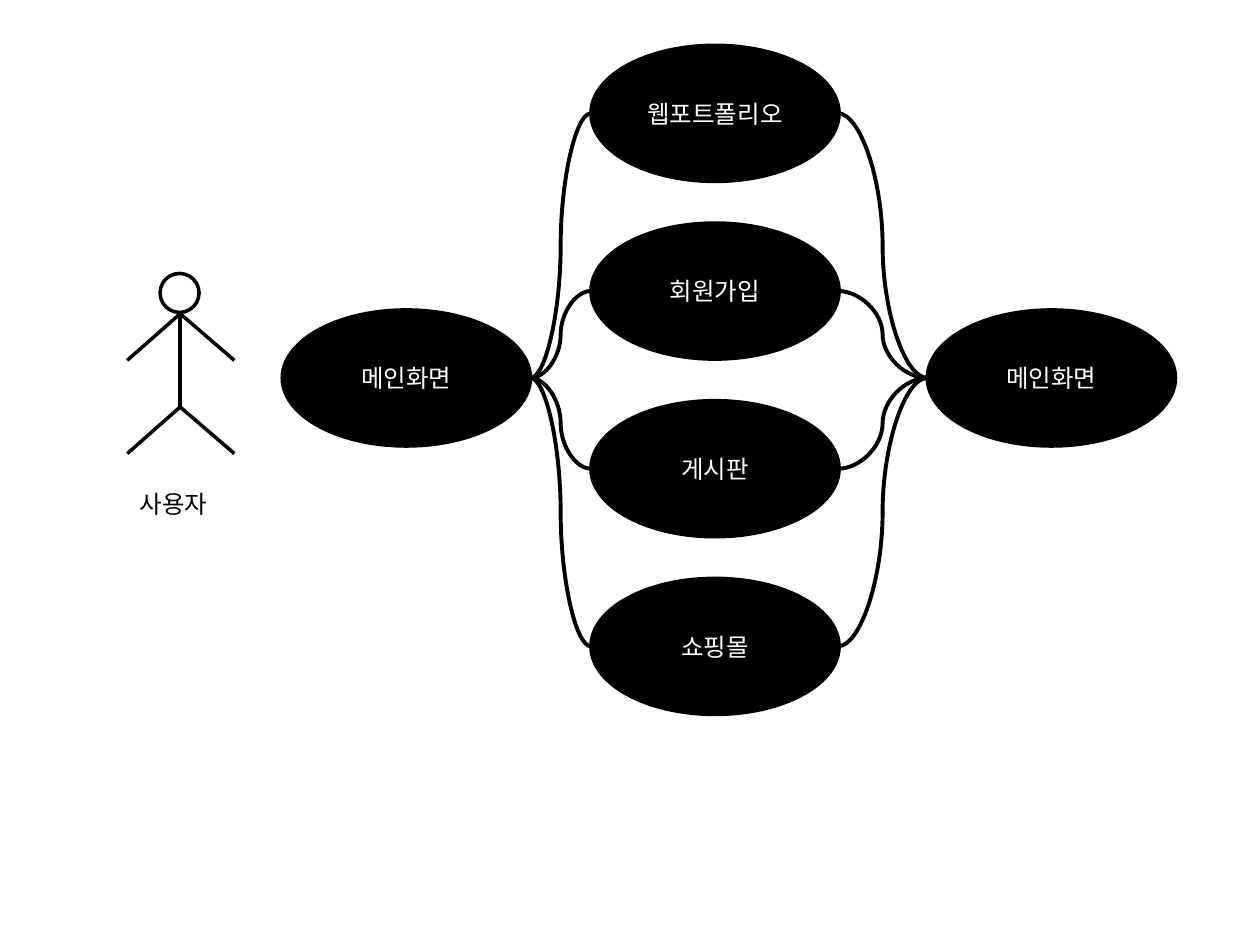
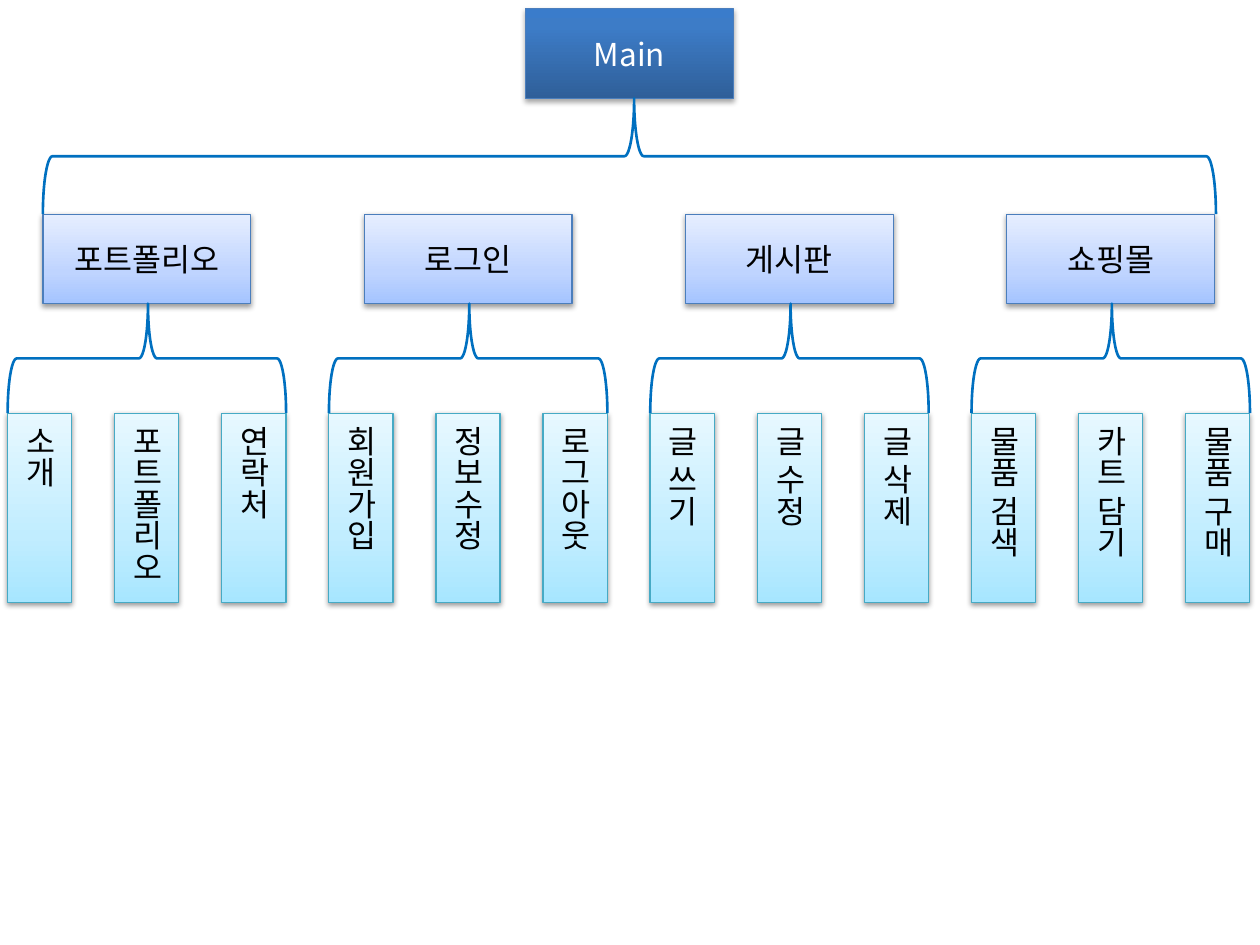
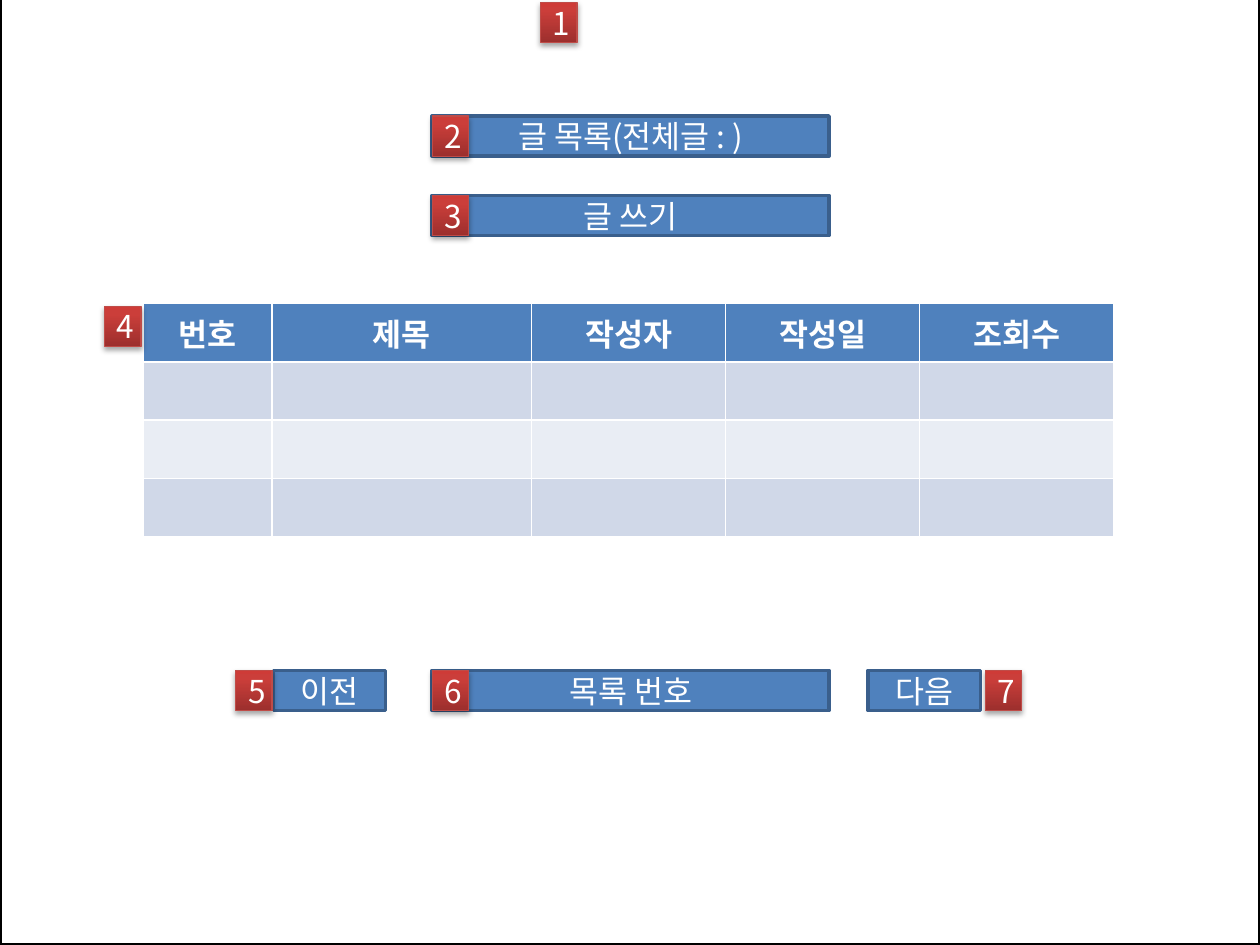
from lxml.etree import SubElement
from pptx import Presentation
from pptx.dml.color import RGBColor
from pptx.enum.shapes import MSO_CONNECTOR, MSO_SHAPE
from pptx.enum.text import MSO_ANCHOR, PP_ALIGN
from pptx.oxml.ns import qn
from pptx.util import Inches, Pt

FONT = "Noto Sans CJK KR"
rgb = RGBColor.from_string

# Shared looks: gradients run from bottom to top, shadow is (opacity %, distance pt)
USE_CASE = dict(fill="000000", line="000000", width=2, size=14, color="FFFFFF")
HEAD = dict(fill="FFFFFF", line="000000", width=2)
CAPTION = dict(size=14, color="000000", align=PP_ALIGN.LEFT, anchor=MSO_ANCHOR.TOP)
ROOT = dict(fill=[(0, "2F5F99"), (80, "3D7CC7"), (100, "3A7CCB")], line="4B7EBC",
            width=0.75, shadow=(35, 1.8), color="FFFFFF")
BRANCH = dict(fill=[(0, "A4C4FF"), (35, "BFD4FF"), (100, "E6EEFF")], line="4B7EBC",
              width=0.75, shadow=(38, 1.6), color="000000")
LEAF = dict(fill=[(0, "A7E6FF"), (35, "C1EDFF"), (100, "E7F8FF")], line="46AAC5",
            width=0.75, shadow=(38, 1.6), color="000000", vertical=True)
BRACE = dict(line="0070C0", width=1.5)
BADGE = dict(fill=[(0, "9C2F2D"), (80, "CB3E3A"), (100, "CE3B37")], line="BF4C48",
             width=0.75, shadow=(35, 1.8), color="FFFFFF")
BAR = dict(fill="4F81BD", line="3A5F8C", width=2, color="FFFFFF")


def write(frame, text, look):
    paragraph = frame.paragraphs[0]
    paragraph.alignment = look.get("align", PP_ALIGN.CENTER)
    run = paragraph.add_run()
    run.text = text
    run.font.color.rgb = rgb(look["color"])
    for name, value in dict(size=Pt(look.get("size", 18)), name=FONT,
                            bold=look.get("bold")).items():
        setattr(run.font, name, value)
    SubElement(run.font._element, qn("a:ea"), typeface=FONT)


def add_box(shapes, kind, at, look, text=""):
    shape = shapes.add_shape(kind, *map(Inches, at))
    shape.shadow.inherit = False
    properties = shape._element.spPr
    fill = look.get("fill")
    if fill is None:
        shape.fill.background()
    elif isinstance(fill, str):
        shape.fill.solid()
        shape.fill.fore_color.rgb = rgb(fill)
    else:
        shape.fill.gradient()
        shape.fill.gradient_angle = 90
        stops = properties.find(".//" + qn("a:gsLst"))
        for stop in list(stops):
            stops.remove(stop)
        for position, color in fill:
            stop = SubElement(stops, qn("a:gs"), pos=str(position * 1000))
            SubElement(stop, qn("a:srgbClr"), val=color)
    shape.line.color.rgb = rgb(look["line"])
    shape.line.width = Pt(look["width"])
    if "shadow" in look:
        opacity, distance = look["shadow"]
        shadow = SubElement(properties.find(qn("a:effectLst")), qn("a:outerShdw"),
                            blurRad=str(Pt(3.1)), dist=str(Pt(distance)),
                            dir="5400000", rotWithShape="0")
        black = SubElement(shadow, qn("a:srgbClr"), val="000000")
        SubElement(black, qn("a:alpha"), val=str(opacity * 1000))
    if text:
        shape.text_frame.vertical_anchor = MSO_ANCHOR.MIDDLE
        shape.text_frame.word_wrap = True
        if look.get("vertical"):
            shape.text_frame._txBody.bodyPr.set("vert", "eaVert")
        write(shape.text_frame, text, look)
    return shape


deck = Presentation()
deck.slide_width, deck.slide_height = Inches(10), Inches(7.5)
blank = deck.slide_layouts[6]

# Slide 1: use cases
use_cases = deck.slides.add_slide(blank).shapes

# User figure
user = use_cases.add_group_shape().shapes
add_box(user, MSO_SHAPE.OVAL, (1.27, 2.17, 0.31, 0.31), HEAD)
neck, hip = (1.43, 2.49), (1.43, 3.23)
strokes = [(user, MSO_CONNECTOR.STRAIGHT, neck, hip, 2)]
for joint in (neck, hip):
    for end_x in (1.01, 1.86):
        strokes.append((user, MSO_CONNECTOR.STRAIGHT, joint, (end_x, joint[1] + 0.37), 2))
caption = user.add_textbox(*map(Inches, (1.01, 3.83, 1.03, 0.34))).text_frame
caption.word_wrap = True
write(caption, "사용자", CAPTION)

# Screens, with curves from both main screens to every option
oval_w, oval_h, main_y = 1.97, 1.08, 3
for main_x in (2.24, 7.36):
    add_box(use_cases, MSO_SHAPE.OVAL, (main_x, main_y - oval_h / 2, oval_w, oval_h),
            USE_CASE, "메인화면")
for row, option in enumerate(["웹포트폴리오", "회원가입", "게시판", "쇼핑몰"]):
    top = 0.36 + 1.41 * row
    add_box(use_cases, MSO_SHAPE.OVAL, (4.69, top, oval_w, oval_h), USE_CASE, option)
    for main_x, option_x in ((4.21, 4.69), (7.36, 6.65)):
        strokes.append((use_cases, MSO_CONNECTOR.CURVE, (main_x, main_y),
                        (option_x, top + oval_h / 2), 2.25))

for shapes, kind, start, end, width in strokes:
    stroke = shapes.add_connector(kind, *map(Inches, start + end))
    stroke.line.color.rgb = rgb("000000")
    stroke.line.width = Pt(width)
    SubElement(stroke._element.spPr, qn("a:effectLst"))

# Slide 2: site map
site_map = deck.slides.add_slide(blank).shapes
menu = {
    "포트폴리오": ["소개", "포트폴리오", "연락처"],
    "로그인": ["회원가입", "정보수정", "로그아웃"],
    "게시판": ["글 쓰기", "글 수정", "글 삭제"],
    "쇼핑몰": ["물품 검색", "카트 담기", "물품 구매"],
}
leaf_step = 0.85
branch_step = 3 * leaf_step
add_box(site_map, MSO_SHAPE.RECTANGLE, (4.17, 0.07, 1.65, 0.71), ROOT, "Main")
braces = [(0.34, 9.65, 0.78, 1.7)]
for column, (branch, leaves) in enumerate(menu.items()):
    shift = column * branch_step
    add_box(site_map, MSO_SHAPE.RECTANGLE, (0.34 + shift, 1.7, 1.65, 0.71), BRANCH, branch)
    for place, leaf in enumerate(leaves):
        add_box(site_map, MSO_SHAPE.RECTANGLE,
                (0.06 + shift + place * leaf_step, 3.28, 0.51, 1.5), LEAF, leaf)
    braces.append((0.06 + shift, 2.27 + shift, 2.41, 3.28))

# Braces are turned upright ones, so width and height swap around the centre
for left, right, top, bottom in braces:
    span, depth = right - left, bottom - top
    brace = add_box(site_map, MSO_SHAPE.LEFT_BRACE,
                    ((left + right - depth) / 2, (top + bottom - span) / 2, depth, span), BRACE)
    brace.rotation = 270
    brace._element.spPr.find(qn("a:xfrm")).set("flipH", "1")
    brace.adjustments[0], brace.adjustments[1] = 0.083, 0.504

# Slide 3: board screen
board = deck.slides.add_slide(blank).shapes
add_box(board, MSO_SHAPE.RECTANGLE, (0, -0.03, 10, 7.53), HEAD)

# Post list
column_widths = [1.02, 2.06, 1.54, 1.54, 1.54]
headings = ["번호", "제목", "작성자", "작성일", "조회수"]
row_fills = ["4F81BD", "D0D8E8", "E9EDF4", "D0D8E8"]
posts = board.add_table(len(row_fills), len(headings),
                        *map(Inches, (1.14, 2.41, 7.72, 1.62))).table
for column, width in zip(posts.columns, column_widths):
    column.width = Inches(width)
for row, fill in zip(posts.rows, row_fills):
    for cell in row.cells:
        cell.fill.solid()
        cell.fill.fore_color.rgb = rgb(fill)
        blank_text = SubElement(cell.text_frame.paragraphs[0]._p, qn("a:endParaRPr"), sz="1800")
        for script in ("a:latin", "a:ea"):
            SubElement(blank_text, qn(script), typeface=FONT)
for cell, heading in zip(posts.rows[0].cells, headings):
    write(cell.text_frame, heading, dict(color="FFFFFF", bold=True))

# Buttons
for left, top, width, label in [
    (3.43, 0.92, 3.15, "글 목록(전체글 : )"),
    (3.43, 1.55, 3.15, "글 쓰기"),
    (2.17, 5.32, 0.89, "이전"),
    (3.43, 5.32, 3.15, "목록 번호"),
    (6.89, 5.32, 0.89, "다음"),
]:
    add_box(board, MSO_SHAPE.RECTANGLE, (left, top, width, 0.32), BAR, label)

# Numbered badges
badge_places = [(4.29, 0.02), (3.43, 0.92), (3.43, 1.55), (0.83, 2.43),
                (1.87, 5.32), (3.43, 5.32), (7.82, 5.32)]
for number, place in enumerate(badge_places, 1):
    add_box(board, MSO_SHAPE.RECTANGLE, (*place, 0.29, 0.32), BADGE, str(number))

deck.save("out.pptx")
